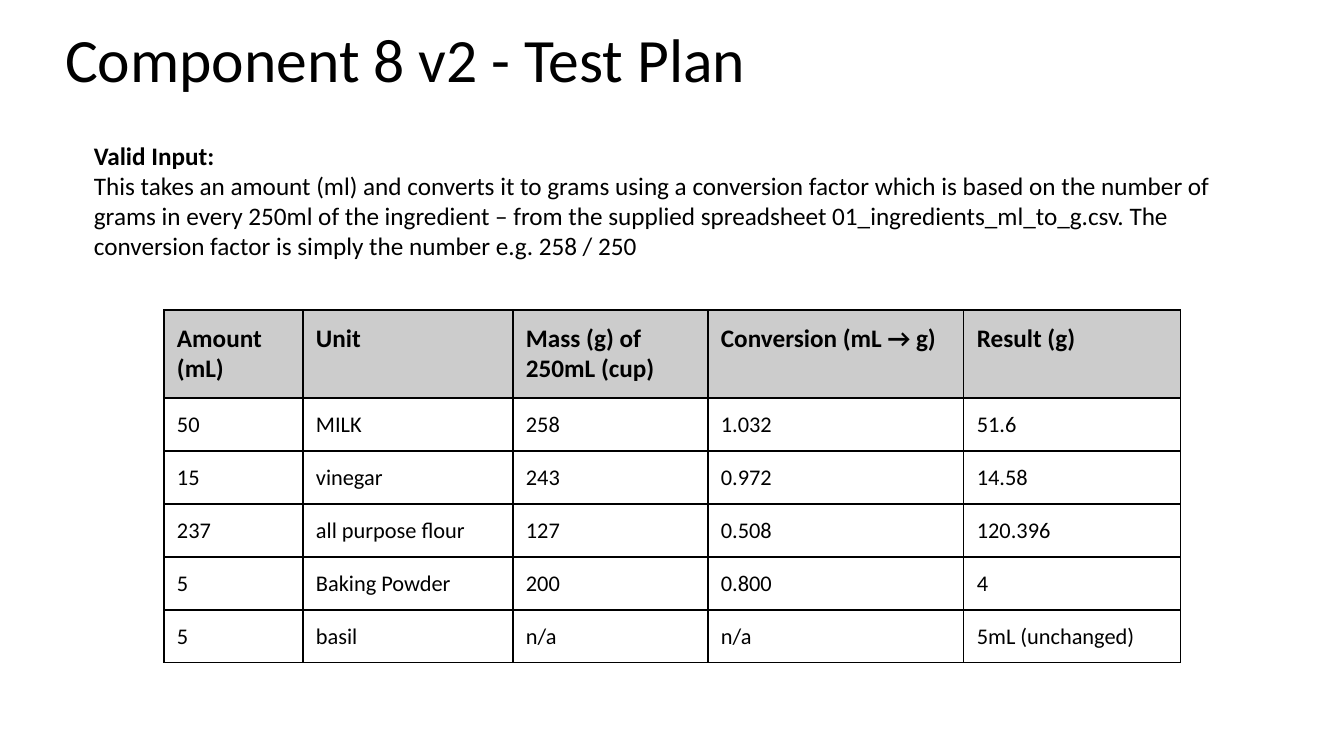
from lxml import etree
from pptx import Presentation
from pptx import util as u
from pptx.dml import color
from pptx.enum import text
from pptx.oxml import ns

PX = 914400 / 100.8
FONT = "Calibri"
COLOURS = {"ink": "000000", "header": "CCCCCC"}
INSET = 13
COLUMN_WIDTHS = [139, 210, 195, 256, 217]
HEADER_HEIGHT, ROW_HEIGHT = 88, 53
ROWS = [
    ["Amount (mL)", "Unit", "Mass (g) of 250mL (cup)", "Conversion (mL → g)", "Result (g)"],
    ["50", "MILK", "258", "1.032", "51.6"],
    ["15", "vinegar", "243", "0.972", "14.58"],
    ["237", "all purpose flour", "127", "0.508", "120.396"],
    ["5", "Baking Powder", "200", "0.800", "4"],
    ["5", "basil", "n/a", "n/a", "5mL (unchanged)"],
]
DESCRIPTION = (
    "This takes an amount (ml) and converts it to grams using a conversion factor "
    "which is based on the number of grams in every 250ml of the ingredient – from "
    "the supplied spreadsheet 01_ingredients_ml_to_g.csv. The conversion factor is "
    "simply the number e.g. 258 / 250"
)


def px(length):
    return u.Emu(round(length * PX))


def rgb(name):
    return color.RGBColor.from_string(COLOURS[name])


class SlideBuilder:
    def __init__(self, presentation):
        self.slide = presentation.slides.add_slide(presentation.slide_layouts[5])

    def style(self, paragraph, size, bold=False):
        paragraph.alignment = text.PP_ALIGN.LEFT
        paragraph.font.name = FONT
        paragraph.font.size = u.Pt(size)
        paragraph.font.bold = bold
        paragraph.font.color.rgb = rgb("ink")

    def inset(self, target):
        target.margin_left = target.margin_right = px(INSET)
        target.margin_top = target.margin_bottom = px(INSET)

    def title(self, words, left, top, width, height):
        shape = self.slide.shapes.title
        shape.left, shape.top = px(left), px(top)
        shape.width, shape.height = px(width), px(height)
        frame = shape.text_frame
        frame.text = words
        frame.auto_size = text.MSO_AUTO_SIZE.NONE
        frame.vertical_anchor = text.MSO_ANCHOR.TOP
        self.inset(frame)
        paragraph = frame.paragraphs[0]
        paragraph.line_spacing = 0.9
        self.style(paragraph, 44)

    def description(self, heading, words, left, top, width, height):
        shape = self.slide.shapes.add_textbox(px(left), px(top), px(width), px(height))
        frame = shape.text_frame
        frame.word_wrap = True
        frame.auto_size = text.MSO_AUTO_SIZE.SHAPE_TO_FIT_TEXT
        frame.text = f"{heading}\n{words}"
        for paragraph, bold in zip(frame.paragraphs, (True, False)):
            self.style(paragraph, 18, bold)

    def borders(self, cell):
        properties = cell._tc.get_or_add_tcPr()
        for side in ("lnL", "lnR", "lnT", "lnB"):
            line = etree.SubElement(properties, ns.qn(f"a:{side}"), w=str(u.Pt(1)))
            fill = etree.SubElement(line, ns.qn("a:solidFill"))
            etree.SubElement(fill, ns.qn("a:srgbClr"), val=COLOURS["ink"])

    def cell(self, cell, words, header):
        cell.text = words
        self.inset(cell)
        self.borders(cell)
        if header:
            cell.fill.solid()
            cell.fill.fore_color.rgb = rgb("header")
        else:
            cell.fill.background()
        self.style(cell.text_frame.paragraphs[0], 18 if header else 16, header)

    def table(self, rows, left, top):
        heights = [HEADER_HEIGHT] + [ROW_HEIGHT] * (len(rows) - 1)
        table = self.slide.shapes.add_table(
            len(rows), len(COLUMN_WIDTHS), px(left), px(top),
            px(sum(COLUMN_WIDTHS)), px(sum(heights)),
        ).table
        table.horz_banding = False
        for column, width in zip(table.columns, COLUMN_WIDTHS):
            column.width = px(width)
        for row_index, (row, height) in enumerate(zip(rows, heights)):
            table.rows[row_index].height = px(height)
            for column_index, words in enumerate(row):
                self.cell(table.cell(row_index, column_index), words, row_index == 0)


def main():
    presentation = Presentation()
    presentation.slide_width, presentation.slide_height = px(1344), px(756)
    builder = SlideBuilder(presentation)
    builder.title("Component 8 v2 - Test Plan", 52, 16, 1230, 85)
    builder.description("Valid Input:", DESCRIPTION, 84, 135, 1165, 132)
    builder.table(ROWS, 164, 310)
    presentation.save("out.pptx")


if __name__ == "__main__":
    main()
